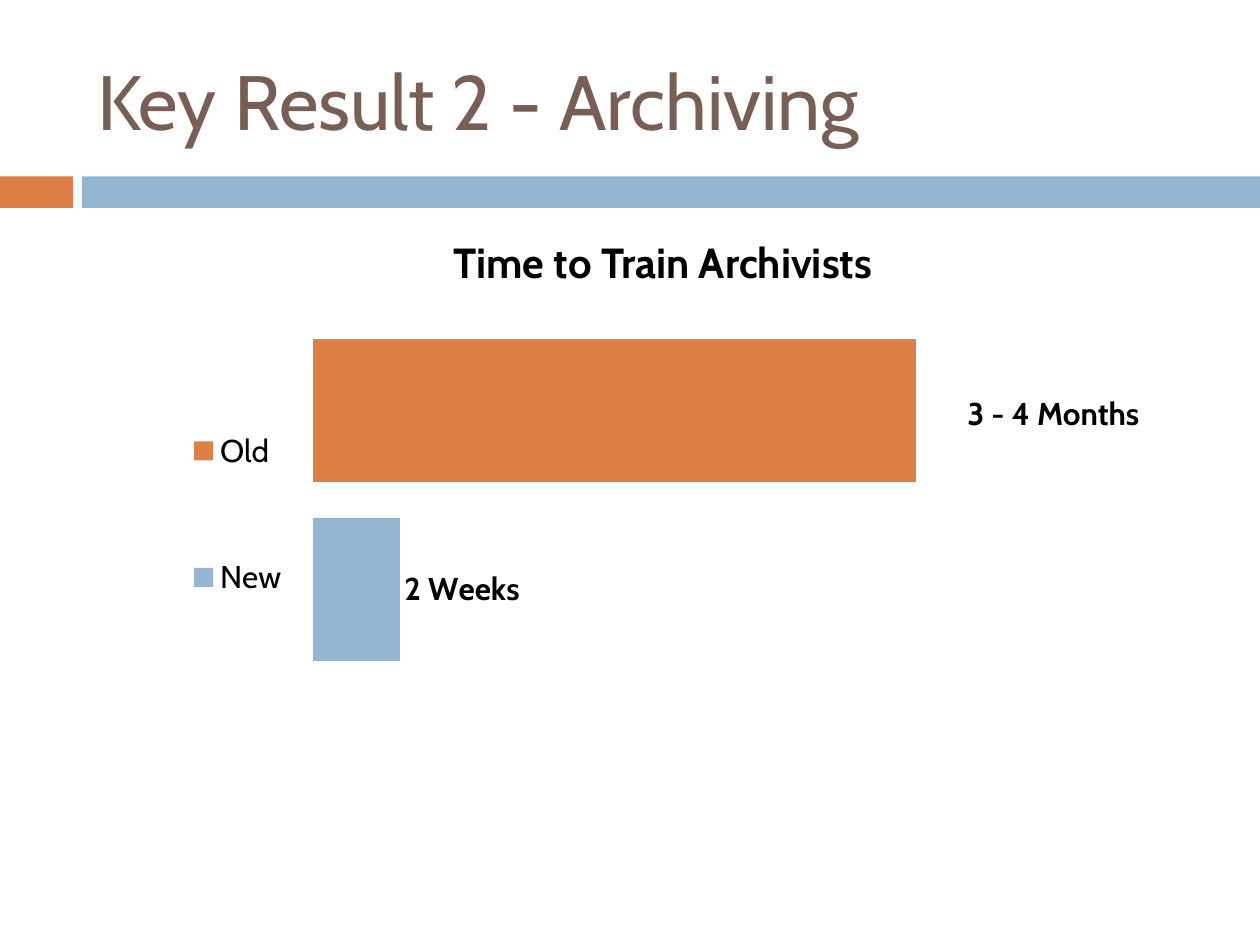
"""Build the archiving key result slide with its training time chart."""
from lxml import etree
from pptx import Presentation
from pptx import util as u
from pptx.chart.data import CategoryChartData
from pptx.dml.color import RGBColor
from pptx.enum import chart as charts, shapes, text

WIDTH, HEIGHT = 10, 7.5
FONT = "Cabin"
COLORS = {"title": "775F55", "old": "DD8047", "new": "94B6D2", "text": "000000"}
TITLE = "Key Result 2 - Archiving"
BANDS = [("old", 0, 0.58), ("new", 0.65, WIDTH - 0.65)]
SERIES = [("New", 2, "new"), ("Old", 14, "old")]
NEW_LABEL = "2 Weeks"
NOTES = [
    ("3 - 4 Months", 18, (7.58, 3.08, 1, 1)),
    ("Time to Train Archivists", 24, (3.5, 1.83, 2.67, 0.5)),
]
CHART_AREA = (1.42, 1.75, 6.67, 4.44)
PLOT_SHARES = (0.16, 0.02, 0.82, 0.96)
LEGEND_SHARES = (0, 0.22, 0.14, 0.61)


def inches(area):
    return [u.Inches(value) for value in area]


def color(name):
    return RGBColor.from_string(COLORS[name])


def style(font, size, name="text", bold=False):
    font.name, font.size, font.bold = FONT, u.Pt(size), bold
    font.color.rgb = color(name)


def place(element, successors, shares, inner=False):
    """Give a chart part a manual layout in shares of the chart."""
    for old in element.findall("{*}layout"):
        element.remove(old)
    space = etree.QName(element).namespace
    layout = element.makeelement(f"{{{space}}}layout")
    manual = etree.SubElement(layout, f"{{{space}}}manualLayout")
    settings = [("layoutTarget", "inner")] if inner else []
    settings += [("xMode", "edge"), ("yMode", "edge")]
    settings += zip("xywh", map(str, shares))
    for tag, value in settings:
        etree.SubElement(manual, f"{{{space}}}{tag}").set("val", value)
    following = next((child for child in element
                      if etree.QName(child).localname in successors), None)
    if following is None:
        element.append(layout)
    else:
        following.addprevious(layout)


def add_bands(page):
    for name, left, width in BANDS:
        band = page.shapes.add_shape(shapes.MSO_SHAPE.RECTANGLE,
                                     *inches((left, 1.4, width, 0.25)))
        band.shadow.inherit = False
        band.fill.solid()
        band.fill.fore_color.rgb = color(name)
        band.line.fill.background()


def add_title(page):
    title = page.shapes.title
    title.left, title.top, title.width, title.height = inches((0.67, 0.25, 8.92, 1.08))
    title.text = TITLE
    title.text_frame.vertical_anchor = text.MSO_ANCHOR.MIDDLE
    para = title.text_frame.paragraphs[0]
    para.alignment = text.PP_ALIGN.LEFT
    style(para.font, 44, "title")


def add_training_chart(page):
    data = CategoryChartData()
    data.categories = ["1"]
    for name, value, _ in SERIES:
        data.add_series(name, [value])
    chart = page.shapes.add_chart(charts.XL_CHART_TYPE.BAR_CLUSTERED,
                                  *inches(CHART_AREA), data).chart
    style(chart.font, 18)
    chart.has_title = False
    chart.value_axis.minimum_scale, chart.value_axis.maximum_scale = 0, 16
    chart.value_axis.has_major_gridlines = False
    chart.category_axis.visible = chart.value_axis.visible = False

    plot = chart.plots[0]
    plot.gap_width, plot.overlap = 150, -25
    plot.vary_by_categories = False
    for series, (_, _, name) in zip(plot.series, SERIES):
        series.format.fill.solid()
        series.format.fill.fore_color.rgb = color(name)
    new = plot.series[0]
    new.data_labels.show_value = True
    new.data_labels.position = charts.XL_LABEL_POSITION.OUTSIDE_END
    style(new.data_labels.font, 18, bold=True)
    label = new.points[0].data_label
    label.text_frame.text = NEW_LABEL
    style(label.text_frame.paragraphs[0].runs[0].font, 18, bold=True)
    label.position = charts.XL_LABEL_POSITION.OUTSIDE_END

    chart.has_legend = True
    legend = chart.legend
    legend.position = charts.XL_LEGEND_POSITION.LEFT
    legend.include_in_layout = False
    style(legend.font, 18)
    area = chart.element.find(".//{*}plotArea")
    place(area, ("barChart",), PLOT_SHARES, inner=True)
    place(area.getparent().find("{*}legend"), ("overlay", "spPr", "txPr"), LEGEND_SHARES)


def add_notes(page):
    for words, size, area in NOTES:
        box = page.shapes.add_textbox(*inches(area))
        box.text_frame.word_wrap = False
        box.text_frame.auto_size = text.MSO_AUTO_SIZE.NONE
        para = box.text_frame.paragraphs[0]
        para.text = words
        para.alignment = text.PP_ALIGN.LEFT
        style(para.font, size, bold=True)


def main():
    deck = Presentation()
    deck.slide_width, deck.slide_height = inches((WIDTH, HEIGHT))
    page = deck.slides.add_slide(deck.slide_layouts[5])
    add_bands(page)
    add_title(page)
    add_training_chart(page)
    add_notes(page)
    deck.save("out.pptx")


if __name__ == "__main__":
    main()
